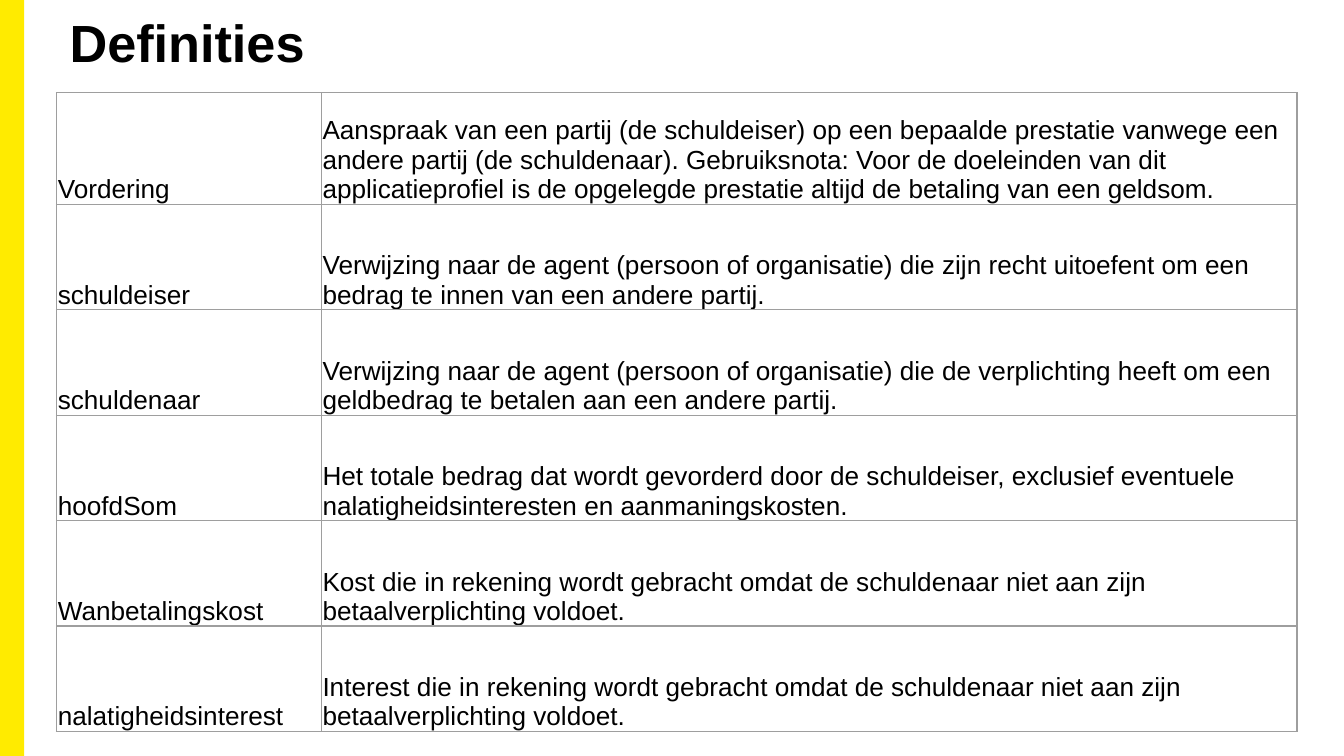
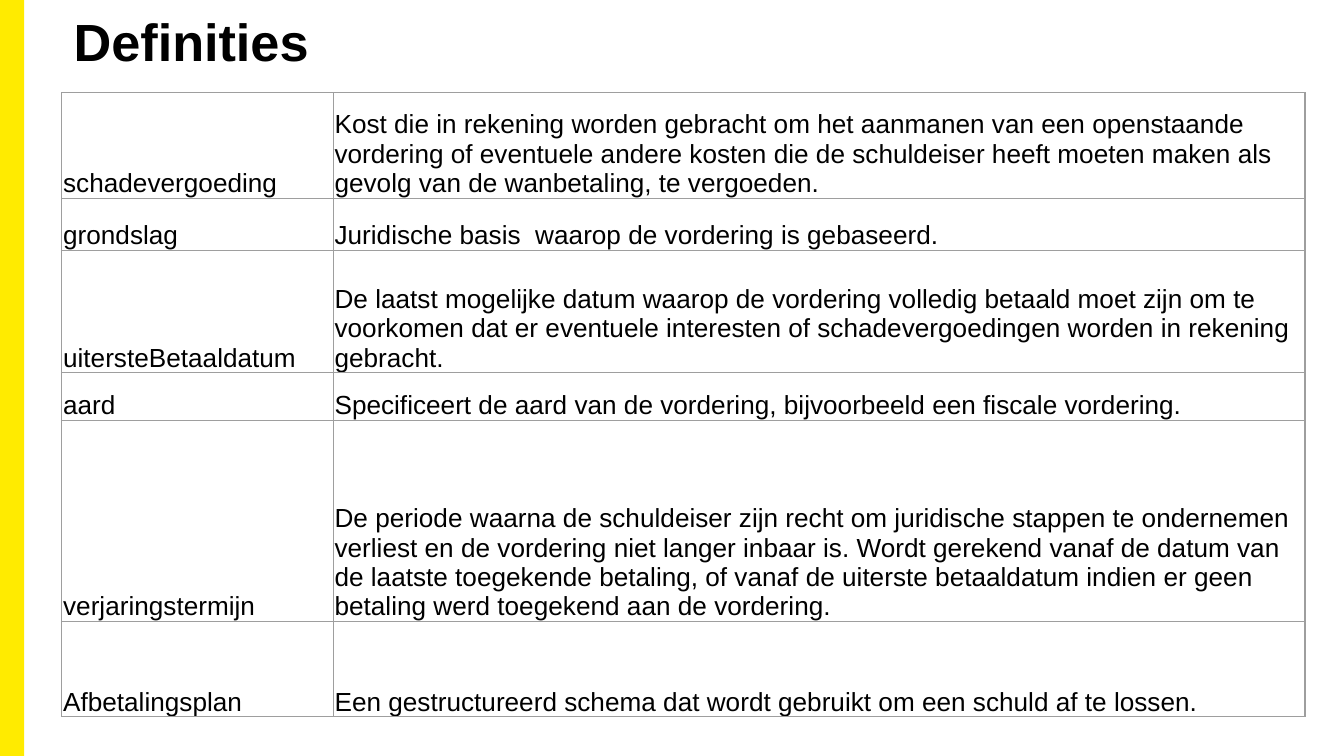
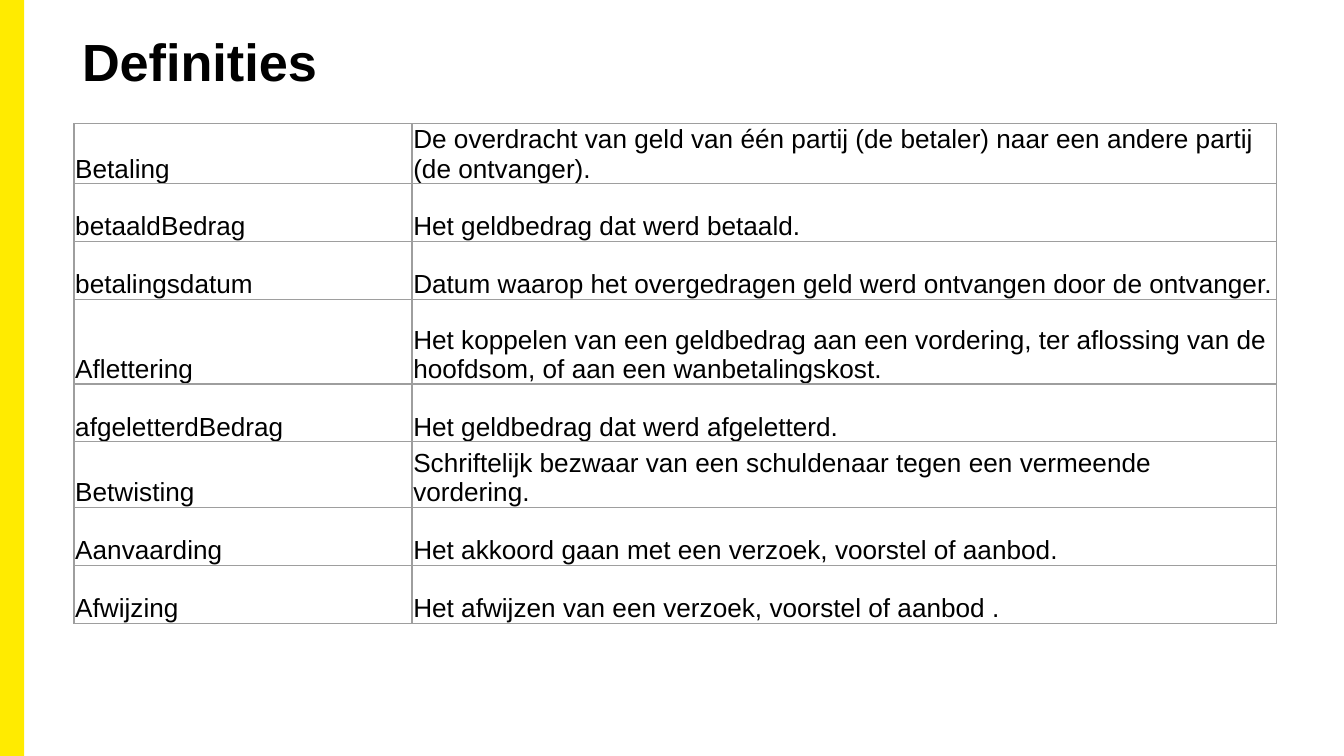
from dataclasses import dataclass
from typing import Any

from lxml.etree import SubElement
from pptx import Presentation
from pptx.dml.color import RGBColor
from pptx.enum.shapes import MSO_SHAPE
from pptx.enum.text import MSO_ANCHOR, PP_ALIGN
from pptx.oxml.ns import qn
from pptx.util import Pt

PX = 4572
SLIDE_W, SLIDE_H = 2000, 1125
BAND_W = 36
BORDER_PT = 0.75
COLORS = {"band": "FFEB00", "paper": "FFFFFF", "ink": "000000", "border": "9E9E9E"}
TITLE_FONT = {"name": "Arial", "size": Pt(28), "bold": True}
CELL_FONT = {"name": "Arial", "size": Pt(14), "bold": False}
CELL_FORMAT = {
    "vertical_anchor": MSO_ANCHOR.BOTTOM,
    "margin_left": 2 * PX,
    "margin_right": 2 * PX,
    "margin_top": 2 * PX,
    "margin_bottom": 0,
}


@dataclass(frozen=True)
class Box:
    """A place on the slide in px."""

    x: int
    y: int
    w: int
    h: int

    def emu(self) -> tuple[int, int, int, int]:
        """Return the place in EMU."""
        return self.x * PX, self.y * PX, self.w * PX, self.h * PX


@dataclass(frozen=True)
class Title:
    """A slide title, on a white plate or as a plain text box."""

    box: Box
    plate: bool = True
    pad_x: int = 20
    pad_y: int = 10
    line_spacing: float = 1.0


@dataclass(frozen=True)
class Definition:
    """One term with its meaning and row height."""

    height: int
    term: str
    meaning: str


@dataclass(frozen=True)
class Page:
    """One slide of definitions."""

    title: Title
    x: int
    y: int
    cols: tuple[int, int]
    rows: tuple[Definition, ...]


PAGES = (
    Page(
        Title(Box(84, 0, 1652, 124)), 84, 138, (394, 1452),
        (
            Definition(166, "Vordering", "Aanspraak van een partij (de schuldeiser) op een bepaalde prestatie vanwege een andere partij (de schuldenaar). Gebruiksnota: Voor de doeleinden van dit applicatieprofiel is de opgelegde prestatie altijd de betaling van een geldsom."),
            Definition(157, "schuldeiser", "Verwijzing naar de agent (persoon of organisatie) die zijn recht uitoefent om een bedrag te innen van een andere partij."),
            Definition(157, "schuldenaar", "Verwijzing naar de agent (persoon of organisatie) die de verplichting heeft om een geldbedrag te betalen aan een andere partij."),
            Definition(157, "hoofdSom", "Het totale bedrag dat wordt gevorderd door de schuldeiser, exclusief eventuele nalatigheidsinteresten en aanmaningskosten."),
            Definition(157, "Wanbetalingskost", "Kost die in rekening wordt gebracht omdat de schuldenaar niet aan zijn betaalverplichting voldoet."),
            Definition(157, "nalatigheidsinterest", "Interest die in rekening wordt gebracht omdat de schuldenaar niet aan zijn betaalverplichting voldoet."),
        ),
    ),
    Page(
        Title(Box(90, -2, 1652, 124)), 92, 138, (404, 1446),
        (
            Definition(157, "schadevergoeding", "Kost die in rekening worden gebracht om het aanmanen van een openstaande vordering of eventuele andere kosten die de schuldeiser heeft moeten maken als gevolg van de wanbetaling, te vergoeden."),
            Definition(78, "grondslag", "Juridische basis  waarop de vordering is gebaseerd."),
            Definition(182, "uitersteBetaaldatum", "De laatst mogelijke datum waarop de vordering volledig betaald moet zijn om te voorkomen dat er eventuele interesten of schadevergoedingen worden in rekening gebracht."),
            Definition(71, "aard", "Specificeert de aard van de vordering, bijvoorbeeld een fiscale vordering."),
            Definition(299, "verjaringstermijn", "De periode waarna de schuldeiser zijn recht om juridische stappen te ondernemen verliest en de vordering niet langer inbaar is. Wordt gerekend vanaf de datum van de laatste toegekende betaling, of vanaf de uiterste betaaldatum indien er geen betaling werd toegekend aan de vordering."),
            Definition(142, "Afbetalingsplan", "Een gestructureerd schema dat wordt gebruikt om een schuld af te lossen."),
        ),
    ),
    Page(
        Title(Box(108, 38, 1724, 116), False, 14, 8, 0.9), 110, 184, (503, 1286),
        (
            Definition(86, "Betaling", "De overdracht van geld van één partij (de betaler) naar een andere partij (de ontvanger). "),
            Definition(86, "betaaldBedrag", "Het geldbedrag dat werd betaald."),
            Definition(86, "betalingsdatum", "Datum waarop het overgedragen geld werd ontvangen door de ontvanger. "),
            Definition(126, "Aflettering", "Het koppelen van een geldbedrag aan een vordering, ter aflossing van de hoofdsom, of aan een wanbetalingskost."),
            Definition(86, "afgeletterdBedrag", "Het geldbedrag dat werd afgeletterd."),
            Definition(98, "Betwisting", "Schriftelijk bezwaar van een schuldenaar tegen een vermeende vordering."),
            Definition(86, "Aanvaarding", "Het akkoord gaan met een verzoek, voorstel of aanbod."),
            Definition(86, "Afwijzing", "Het afwijzen van een verzoek, voorstel of aanbod . "),
        ),
    ),
)


def rgb(name: str) -> RGBColor:
    """Look up a named colour."""
    return RGBColor.from_string(COLORS[name])


def apply(target: Any, values: dict[str, Any]) -> None:
    """Set attributes from a dict of format values."""
    for name, value in values.items():
        setattr(target, name, value)


def add_rect(s: Any, box: Box, color: str) -> Any:
    """Draw a filled rectangle without outline."""
    sp = s.shapes.add_shape(MSO_SHAPE.RECTANGLE, *box.emu())
    sp.shadow.inherit = False
    sp.fill.solid()
    sp.fill.fore_color.rgb = rgb(color)
    sp.line.fill.background()
    return sp


def write(tf: Any, text: str, font: dict[str, Any], line_spacing: float = 1.0) -> None:
    """Write one left-aligned paragraph."""
    p = tf.paragraphs[0]
    apply(p, {"alignment": PP_ALIGN.LEFT, "line_spacing": line_spacing})
    r = p.add_run()
    r.text = text
    apply(r.font, font)
    r.font.color.rgb = rgb("ink")


def add_title(s: Any, title: Title) -> None:
    """Draw the slide title."""
    if title.plate:
        sp = add_rect(s, title.box, "paper")
    else:
        sp = s.shapes.add_textbox(*title.box.emu())
    tf = sp.text_frame
    apply(tf, {
        "word_wrap": True,
        "vertical_anchor": MSO_ANCHOR.MIDDLE,
        "margin_left": title.pad_x * PX,
        "margin_right": title.pad_x * PX,
        "margin_top": title.pad_y * PX,
        "margin_bottom": title.pad_y * PX,
    })
    write(tf, "Definities", TITLE_FONT, title.line_spacing)


def add_borders(cell: Any) -> None:
    """Draw a thin line on all four sides of a cell."""
    tc_pr = cell._tc.get_or_add_tcPr()
    for side in ("lnL", "lnR", "lnT", "lnB"):
        ln = SubElement(tc_pr, qn(f"a:{side}"), w=str(Pt(BORDER_PT)))
        fill = SubElement(ln, qn("a:solidFill"))
        SubElement(fill, qn("a:srgbClr"), val=COLORS["border"])


def add_definitions(s: Any, page: Page) -> None:
    """Draw the table of terms and meanings."""
    box = Box(page.x, page.y, sum(page.cols), sum(d.height for d in page.rows))
    table = s.shapes.add_table(len(page.rows), len(page.cols), *box.emu()).table
    apply(table, {"first_row": False, "horz_banding": False})
    for column, width in zip(table.columns, page.cols):
        column.width = width * PX
    for row, definition in zip(table.rows, page.rows):
        row.height = definition.height * PX
        for cell, text in zip(row.cells, (definition.term, definition.meaning)):
            apply(cell, CELL_FORMAT)
            add_borders(cell)
            cell.fill.background()
            write(cell.text_frame, text, CELL_FONT)


def main() -> None:
    """Build the presentation."""
    prs = Presentation()
    apply(prs, {"slide_width": SLIDE_W * PX, "slide_height": SLIDE_H * PX})
    for page in PAGES:
        s = prs.slides.add_slide(prs.slide_layouts[6])
        add_rect(s, Box(0, 0, BAND_W, SLIDE_H), "band")
        add_definitions(s, page)
        add_title(s, page.title)
    prs.save("out.pptx")


if __name__ == "__main__":
    main()
